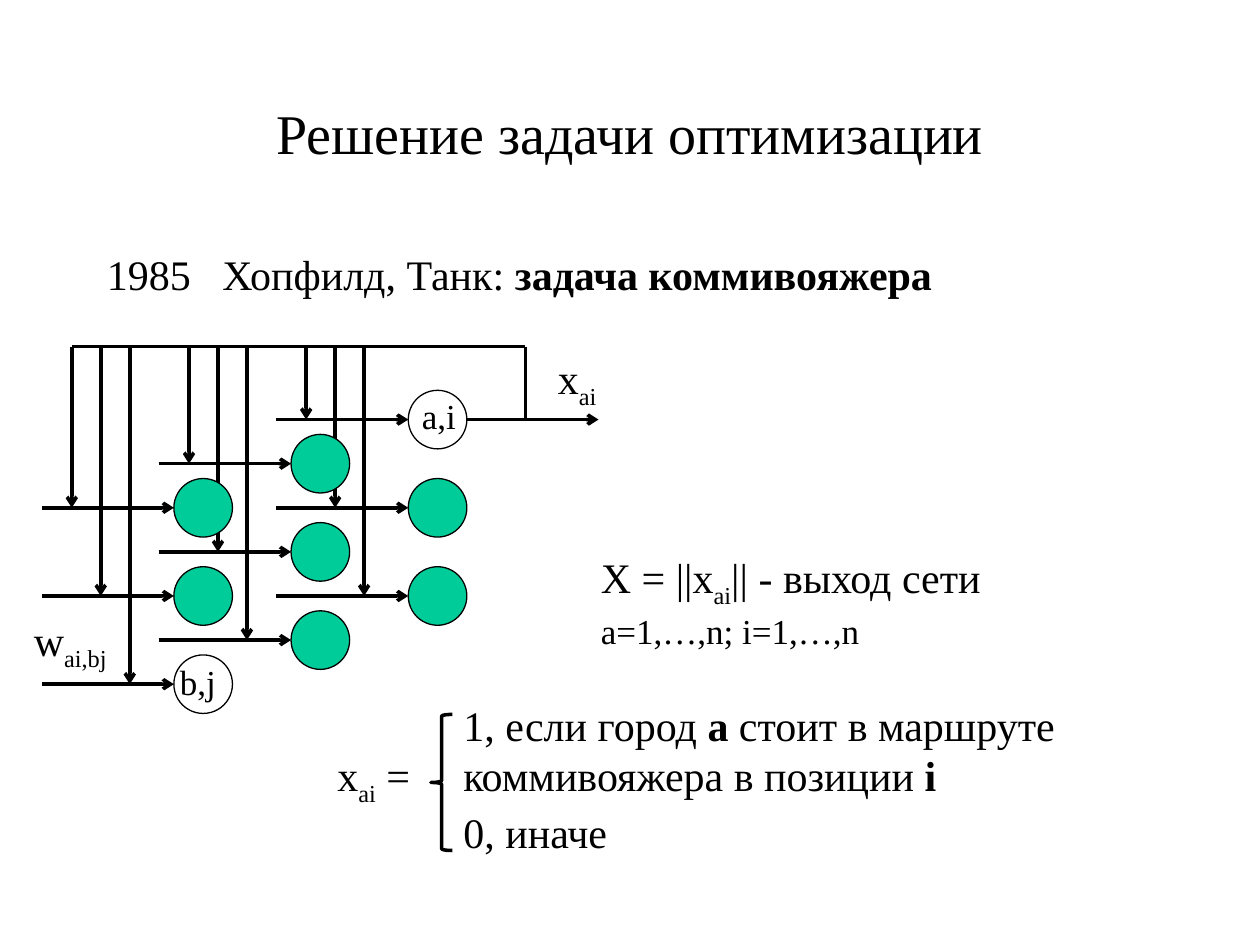
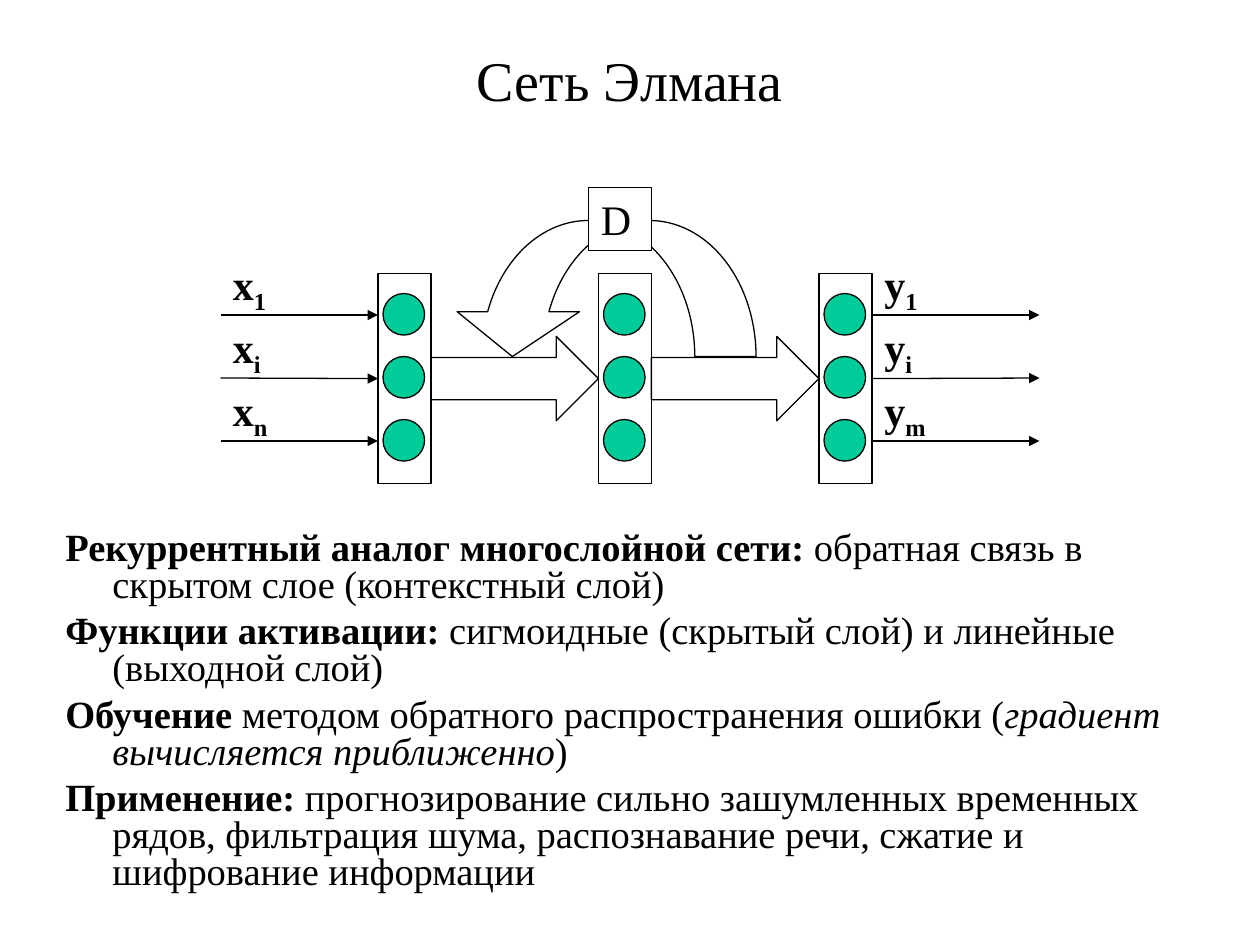
"""Builds two slides on recurrent networks: the travelling salesman problem and the Elman network."""
import pptx
import pptx.dml.color
import pptx.enum.shapes
import pptx.enum.text
import pptx.oxml
import pptx.oxml.ns
import pptx.util

BLACK = pptx.dml.color.RGBColor(0x00, 0x00, 0x00)
WHITE = pptx.dml.color.RGBColor(0xFF, 0xFF, 0xFF)
GREEN = pptx.dml.color.RGBColor(0x00, 0xCC, 0x99)
SHAPE = pptx.enum.shapes.MSO_SHAPE
TITLE_ONLY = 5
THIN, THICK = 0.75, 2
BOLD, ITALIC, SUB = {"bold": True}, {"italic": True}, {"baseline": "-25000"}
BOLD_SUB = BOLD | SUB


def inches(*values):
    return [pptx.util.Cm(value * 2.54) for value in values]


def add_xml(parent, tag, **attributes):
    element = pptx.oxml.parse_xml(f'<a:{tag} {pptx.oxml.ns.nsdecls("a")}/>')
    for name, value in attributes.items():
        element.set(name, str(value))
    parent.append(element)
    return element


class Deck:
    def __init__(self):
        self.prs = pptx.Presentation()
        self.prs.slide_width, self.prs.slide_height = inches(10, 7.5)
        self.font = {"name": "Times New Roman"}
        self.slide = None

    def add_slide(self, heading, top, height):
        self.slide = self.prs.slides.add_slide(self.prs.slide_layouts[TITLE_ONLY])
        title = self.slide.shapes.title
        title.left, title.top, title.width, title.height = inches(0.75, top, 8.5, height)
        self.fill_frame(title.text_frame, [[(heading, {})]], 32,
                        {"alignment": pptx.enum.text.PP_ALIGN.CENTER})
        title.text_frame.vertical_anchor = pptx.enum.text.MSO_ANCHOR.MIDDLE

    def fill_frame(self, frame, lines, size, paragraph_format=None, tab=None, hanging=None):
        frame.word_wrap = True
        frame.auto_size = pptx.enum.text.MSO_AUTO_SIZE.NONE
        for number, runs in enumerate(lines):
            paragraph = frame.paragraphs[0] if number == 0 else frame.add_paragraph()
            properties = paragraph._p.get_or_add_pPr()
            if hanging:
                properties.set("marL", str(hanging))
                properties.set("indent", str(-hanging))
            if tab:
                add_xml(add_xml(properties, "tabLst"), "tab", pos=tab, algn="l")
            for name, value in (paragraph_format or {}).items():
                if number or name != "space_before":
                    setattr(paragraph, name, value)
            for text, style in runs:
                self.add_run(paragraph, text, {"size": pptx.util.Pt(size)} | style)

    def add_run(self, paragraph, text, style):
        run = paragraph.add_run()
        run.text = text
        run.font.color.rgb = BLACK
        for name, value in (self.font | style).items():
            if name == "baseline":
                run._r.get_or_add_rPr().set(name, value)
            else:
                setattr(run.font, name, value)

    def text(self, box, lines, size=24, **layout):
        frame = self.slide.shapes.add_textbox(*inches(*box)).text_frame
        self.fill_frame(frame, lines, size, **layout)

    def shape(self, kind, box, fill=None, weight=THIN, adjustments=()):
        shape = self.slide.shapes.add_shape(kind, *inches(*box))
        shape.shadow.inherit = False
        if fill is None:
            shape.fill.background()
        else:
            shape.fill.solid()
            shape.fill.fore_color.rgb = fill
        shape.line.color.rgb = BLACK
        shape.line.width = pptx.util.Pt(weight)
        for number, value in enumerate(adjustments):
            shape.adjustments[number] = value
        return shape

    def line(self, start, end, weight=THICK, head="arrow"):
        line = self.slide.shapes.add_connector(
            pptx.enum.shapes.MSO_CONNECTOR.STRAIGHT, *inches(*start, *end))
        line.line.color.rgb = BLACK
        line.line.width = pptx.util.Pt(weight)
        if head:
            add_xml(line.line._get_or_add_ln(), "tailEnd", type=head)
        add_xml(line._element.spPr, "effectLst")
        return line


def build_salesman(deck):
    deck.add_slide("Решение задачи оптимизации", 0.42, 1.25)
    deck.text((0.75, 1.92, 8.5, 0.83),
              [[("1985\tХопфилд, Танк: ", {}), ("задача коммивояжера", BOLD)]],
              tab=pptx.util.Cm(2.33))

    bus_y, output_x, diameter = 2.75, 4.17, 0.465
    neurons = [(column, row, 1.38 + 0.93 * column, 4.03 - 0.35 * column + 0.7 * row)
               for column in range(3) for row in range(3)]
    for column, row, left, y in neurons:
        feedback_x = left - 0.81 + 0.23 * row
        deck.line((left - 1.05, y), (left, y))
        deck.line((feedback_x, bus_y), (feedback_x, y))
    for column, row, left, y in neurons:
        named = (column, row) in ((2, 0), (0, 2))
        deck.shape(SHAPE.OVAL, (left, y - diameter / 2, diameter, diameter),
                   WHITE if named else GREEN)
    deck.line((3.7, 3.33), (4.75, 3.33))
    deck.line((output_x, 3.33), (output_x, bus_y), head=None)
    deck.line((output_x, bus_y), (0.57, bus_y), head=None)

    deck.text((3.25, 3.08, 0.58, 0.44), [[("a,i", {})]], 20)
    deck.text((1.33, 5.19, 0.58, 0.44), [[("b,j", {})]], 20)
    deck.text((4.33, 2.75, 0.67, 0.56), [[("x", {}), ("ai", SUB)]])
    deck.text((0.17, 4.83, 0.92, 0.56), [[("w", {}), ("ai,bj", SUB)]])
    deck.text((4.67, 4.33, 3.33, 0.89), [
        [("X = ||x", {}), ("ai", SUB), ("|| - выход сети", {})],
        [("a=1,…,n; i=1,…,n", {"size": pptx.util.Pt(20)})]])
    deck.text((2.58, 5.5, 6, 1.36), [
        [("\t1, если город ", {}), ("а", BOLD), (" стоит в маршруте", {})],
        [("x", {}), ("ai", SUB), (" =\tкоммивояжера в позиции ", {}), ("i", BOLD)],
        [("\t0, иначе", {})]], tab=pptx.util.Cm(2.54))
    deck.shape(SHAPE.LEFT_BRACE, (3.42, 5.67, 0.17, 1.08), weight=THICK,
               adjustments=(0.08, 0.5))


def build_elman(deck):
    deck.add_slide("Сеть Элмана", 0.17, 0.92)
    deck.text((0.42, 4.17, 9.25, 3.25), [
        [("Рекуррентный аналог многослойной сети:", BOLD),
         (" обратная связь в скрытом слое (контекстный слой)", {})],
        [("Функции активации:", BOLD),
         (" сигмоидные (скрытый слой) и линейные (выходной слой)", {})],
        [("Обучение", BOLD), (" методом обратного распространения ошибки (", {}),
         ("градиент вычисляется приближенно", ITALIC), (")", {})],
        [("Применение:", BOLD),
         (" прогнозирование сильно зашумленных временных рядов, фильтрация шума,"
          " распознавание речи, сжатие и шифрование информации", {})]],
        22, paragraph_format={"line_spacing": 0.8, "space_before": pptx.util.Pt(5.5)},
        hanging=pptx.util.Cm(0.95))

    rows = [2.5, 3, 3.5]
    layers = []
    for left in (3, 4.75, 6.5):
        layers.append(deck.shape(SHAPE.RECTANGLE, (left, 2.17, 0.42, 1.67)))
        for y in rows:
            deck.shape(SHAPE.OVAL, (left + 0.04, y - 0.17, 0.33, 0.33), GREEN)
    input_layer, _, output_layer = layers

    for y, input_index, output_index in zip(rows, "1in", "1im"):
        signal_in = deck.line((1.75, y), (3, y), THIN, "triangle")
        signal_out = deck.line((6.92, y), (8.25, y), THIN, "triangle")
        if y == 3:
            signal_in.end_connect(input_layer, 1)
            signal_out.begin_connect(output_layer, 3)
        for left, name, index in ((1.75, "x", input_index), (6.92, "y", output_index)):
            deck.text((left, y - 0.5, 0.67, 0.56), [[(name, BOLD), (index, BOLD_SUB)]])

    for left in (3.42, 5.17):
        deck.shape(SHAPE.RIGHT_ARROW, (left, 2.67, 1.33, 0.67))
    feedback = deck.shape(SHAPE.CURVED_UP_ARROW, (3.58, 1.75, 2.42, 1.08),
                          adjustments=(0.45, 0.9, 0.33))
    feedback.rotation = 180
    delay = deck.shape(SHAPE.RECTANGLE, (4.67, 1.49, 0.5, 0.5), WHITE)
    deck.fill_frame(delay.text_frame, [[("D", {})]], 24,
                    {"alignment": pptx.enum.text.PP_ALIGN.LEFT})
    delay.text_frame.vertical_anchor = pptx.enum.text.MSO_ANCHOR.TOP


def main():
    deck = Deck()
    build_salesman(deck)
    build_elman(deck)
    deck.prs.save("out.pptx")


if __name__ == "__main__":
    main()
